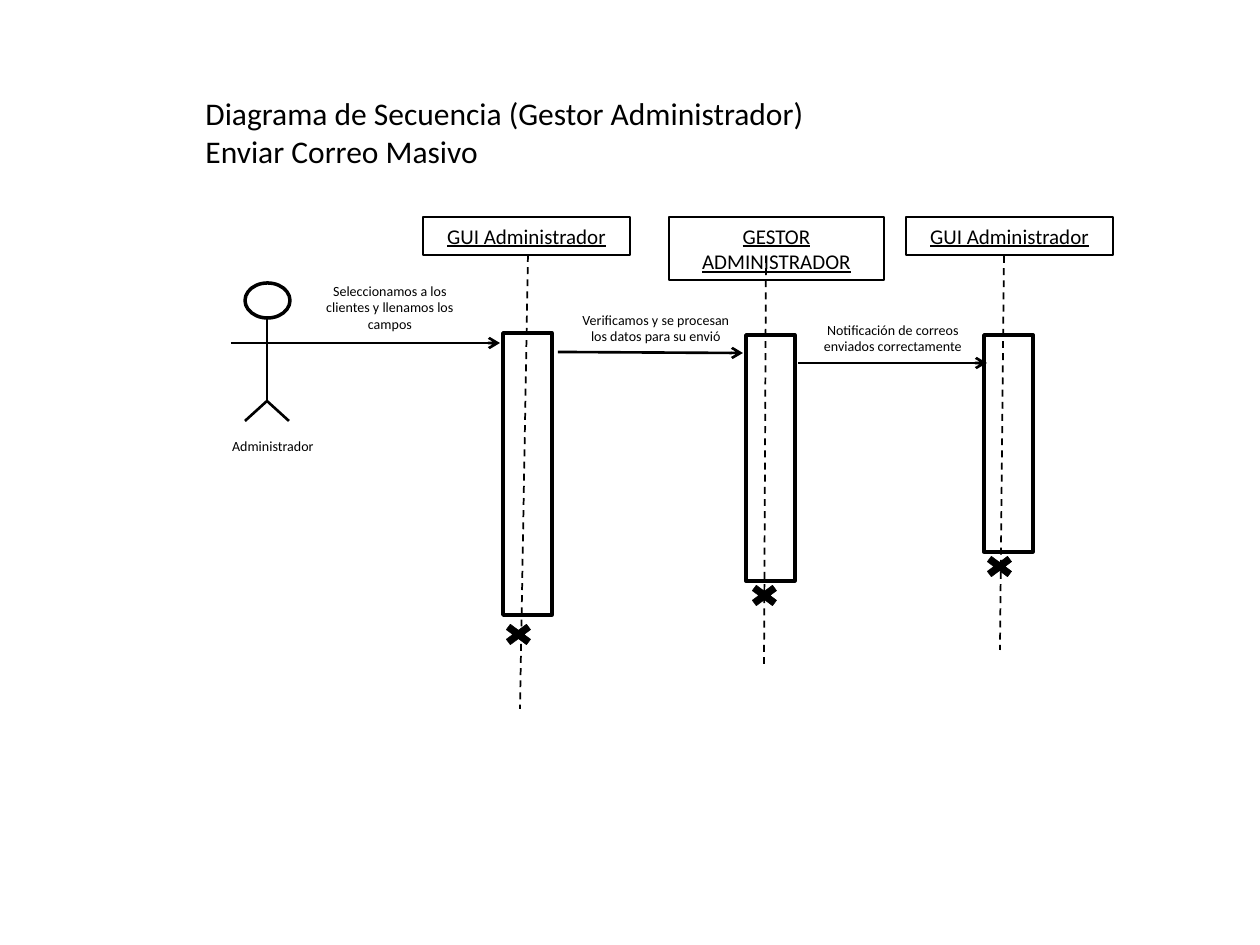
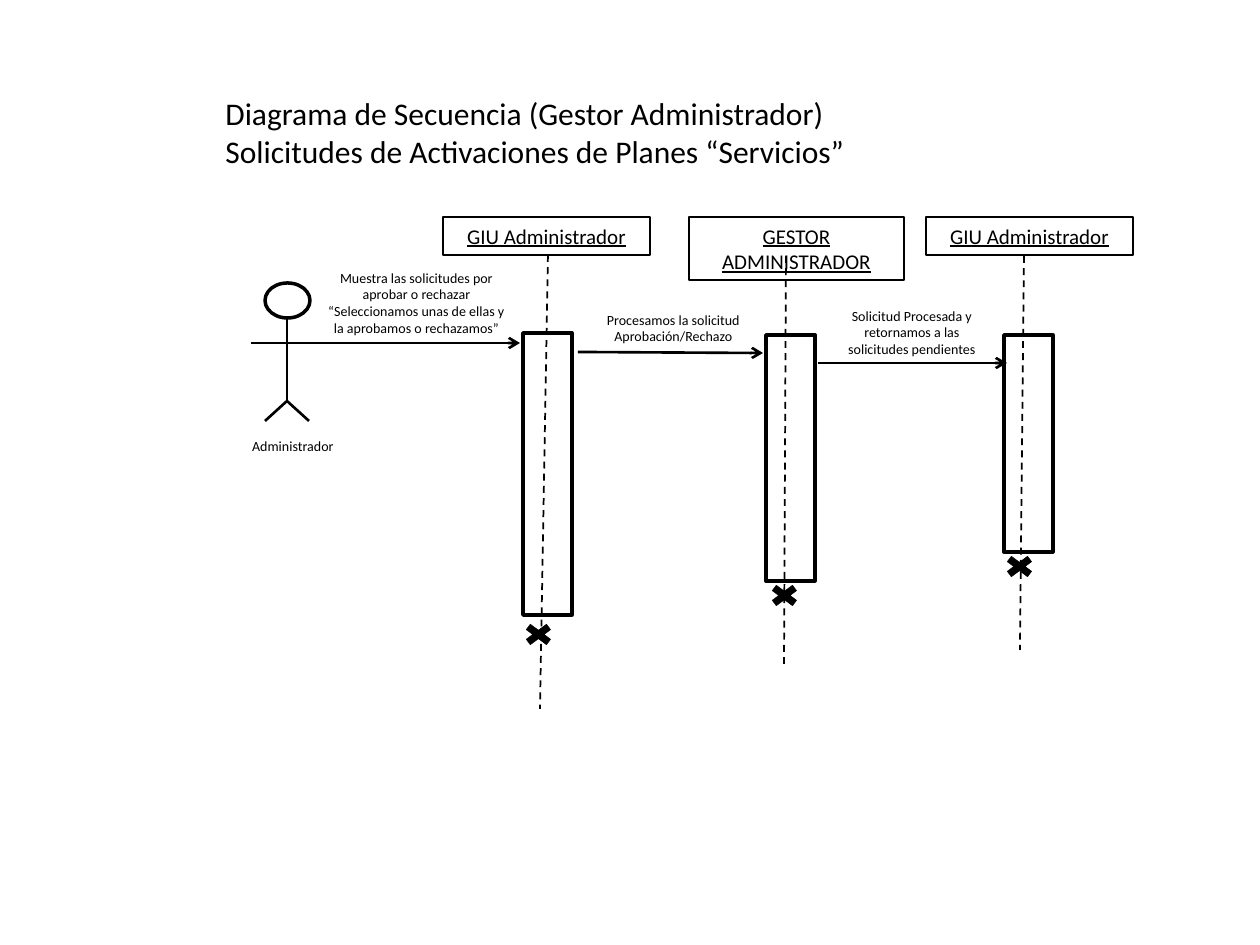
import dataclasses

import lxml.etree
import pptx
import pptx.dml.color
import pptx.enum.dml
import pptx.enum.shapes
import pptx.enum.text
import pptx.oxml.ns
import pptx.util

PIXEL = 914400 / 126
SHAPE = pptx.enum.shapes.MSO_SHAPE
ALIGN = pptx.enum.text.PP_ALIGN


@dataclasses.dataclass(frozen=True)
class Theme:
    font: str = "Calibri"
    ink: str = "000000"
    paper: str = "FFFFFF"
    title_size: int = 18
    header_size: int = 12
    label_size: int = 8
    cross_line: float = 0.25
    header_line: float = 0.75
    lifeline: float = 1
    arrow_line: float = 1.5
    bar_line: float = 2


THEME = Theme()


def emu(pixels):
    return pptx.util.Emu(round(pixels * PIXEL))


def colour(value):
    return pptx.dml.color.RGBColor.from_string(value)


def write_text(shape, text, size, align=ALIGN.CENTER, underline=False):
    """Fill a shape with text, one paragraph for each line."""
    frame = shape.text_frame
    frame.word_wrap = True
    frame.auto_size = pptx.enum.text.MSO_AUTO_SIZE.SHAPE_TO_FIT_TEXT
    frame.vertical_anchor = pptx.enum.text.MSO_ANCHOR.TOP
    frame.text = text
    for paragraph in frame.paragraphs:
        paragraph.alignment = align
        font = paragraph.runs[0].font
        font.name, font.size = THEME.font, pptx.util.Pt(size)
        font.underline = underline
        font.color.rgb = colour(THEME.ink)


def add_text(shapes, left, top, width, height, text, **text_format):
    shape = shapes.add_textbox(emu(left), emu(top), emu(width), emu(height))
    write_text(shape, text, **text_format)


def add_outline(shapes, kind, left, top, width, height, line_width, fill=None):
    shape = shapes.add_shape(kind, emu(left), emu(top), emu(width), emu(height))
    shape.shadow.inherit = False
    if fill:
        shape.fill.solid()
        shape.fill.fore_color.rgb = colour(fill)
    else:
        shape.fill.background()
    shape.line.color.rgb = colour(THEME.ink)
    shape.line.width = pptx.util.Pt(line_width)
    return shape


def add_line(shapes, start, end, width=THEME.arrow_line, dashed=False, arrow=False):
    connector = shapes.add_connector(
        pptx.enum.shapes.MSO_CONNECTOR.STRAIGHT, *map(emu, (*start, *end)))
    connector.line.color.rgb = colour(THEME.ink)
    connector.line.width = pptx.util.Pt(width)
    if dashed:
        connector.line.dash_style = pptx.enum.dml.MSO_LINE.DASH
    if arrow:
        lxml.etree.SubElement(connector.line._get_or_add_ln(),
                              pptx.oxml.ns.qn("a:tailEnd"), type="arrow")
    lxml.etree.SubElement(connector._element.spPr, pptx.oxml.ns.qn("a:effectLst"))


@dataclasses.dataclass(frozen=True)
class Participant:
    """Places of one column, relative to the diagram."""
    header: tuple    # left, width, height
    lifeline: tuple  # top x, top y, bottom x, bottom y
    bar: tuple       # left, top, height
    cross: tuple     # left, top


PARTICIPANTS = (
    Participant((230, 207, 38), (335, 167, 327, 621), (310, 245, 282), (306, 532)),
    Participant((476, 215, 63), (573, 168, 571, 581), (553, 247, 246), (552, 493)),
    Participant((713, 207, 38), (811, 168, 807, 562), (791, 247, 217), (787, 464)),
)
HEADER_TOP = 129
BAR_WIDTH = 49
CROSS_SIZE = (39, 29)
CALLS = (((365, 264), (550, 265)), ((605, 275), (794, 275)))


def draw_participant(shapes, left, top, participant, name):
    # Header box
    x, width, height = participant.header
    header = add_outline(shapes, SHAPE.RECTANGLE, left + x, top + HEADER_TOP,
                         width, height, THEME.header_line)
    write_text(header, name, size=THEME.header_size, underline=True)
    # Lifeline
    x1, y1, x2, y2 = participant.lifeline
    add_line(shapes, (left + x1, top + y1), (left + x2, top + y2),
             THEME.lifeline, dashed=True)
    # Activation bar
    x, y, height = participant.bar
    add_outline(shapes, SHAPE.RECTANGLE, left + x, top + y, BAR_WIDTH, height,
                THEME.bar_line)
    # End of life
    x, y = participant.cross
    add_outline(shapes, SHAPE.MATH_MULTIPLY, left + x, top + y, *CROSS_SIZE,
                THEME.cross_line, fill=THEME.ink)


def draw_actor(shapes, left, top, name):
    """Stick figure in one group, with its first call and its name."""
    group = shapes.add_group_shape().shapes
    middle, hip, arms = left + 89, top + 118, top + 60
    add_outline(group, SHAPE.OVAL, middle - 22, top, 45, 35, THEME.bar_line,
                fill=THEME.paper)
    add_line(group, (middle, top + 35), (middle, hip))
    for side in (-22, 22):
        add_line(group, (middle, hip), (middle + side, hip + 20))
    add_line(group, (middle - 36, arms), (middle + 37, arms))
    add_line(group, (middle + 33, arms), (middle + 233, arms), arrow=True)
    add_text(group, left, top + 148, 190, 30, name, size=THEME.label_size)


def draw_sequence(slide, left, top, title, names, messages):
    shapes = slide.shapes
    add_text(shapes, left, top, 650, 89, title, size=THEME.title_size,
             align=ALIGN.LEFT)
    for participant, name in zip(PARTICIPANTS, names):
        draw_participant(shapes, left, top, participant, name)
    draw_actor(shapes, left - 15, top + 195, "Administrador")
    for start, end in CALLS:
        add_line(shapes, (left + start[0], top + start[1]),
                 (left + end[0], top + end[1]), arrow=True)
    for x, y, width, height, text in messages:
        add_text(shapes, left + x, top + y, width, height, text,
                 size=THEME.label_size)


presentation = pptx.Presentation()
presentation.slide_width, presentation.slide_height = emu(1260), emu(945)

SEQUENCES = (
    dict(left=193,
         title="Diagrama de Secuencia (Gestor Administrador)\nEnviar Correo Masivo",
         names=("GUI Administrador", "GESTOR ADMINISTRADOR", "GUI Administrador"),
         messages=(
             (108, 188, 178, 63, "Seleccionamos a los clientes y llenamos los campos"),
             (374, 217, 178, 47, "Verificamos y se procesan los datos para su envió"),
             (611, 227, 178, 47, "Notificación de correos enviados correctamente"))),
    dict(left=213,
         title="Diagrama de Secuencia (Gestor Administrador)\n"
               "Solicitudes de Activaciones de Planes “Servicios”",
         names=("GIU Administrador", "GESTOR ADMINISTRADOR", "GIU Administrador"),
         messages=(
             (101, 175, 205, 81, "Muestra las solicitudes por aprobar o rechazar "
              "“Seleccionamos unas de ellas y la aprobamos o rechazamos”"),
             (362, 217, 197, 47, "Procesamos la solicitud Aprobación/Rechazo"),
             (610, 213, 178, 63,
              "Solicitud Procesada y retornamos a las solicitudes pendientes"))),
)
for sequence in SEQUENCES:
    blank_slide = presentation.slides.add_slide(presentation.slide_layouts[6])
    draw_sequence(blank_slide, top=88, **sequence)

presentation.save("out.pptx")
